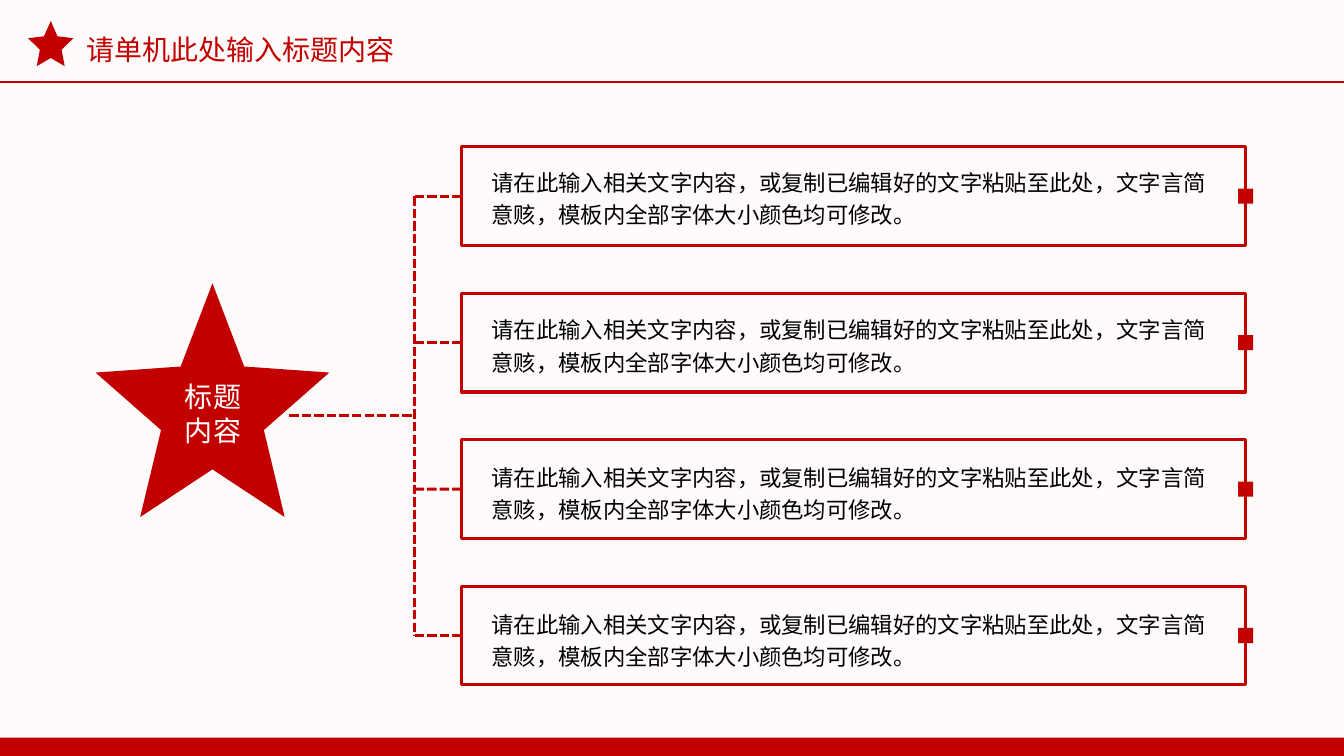
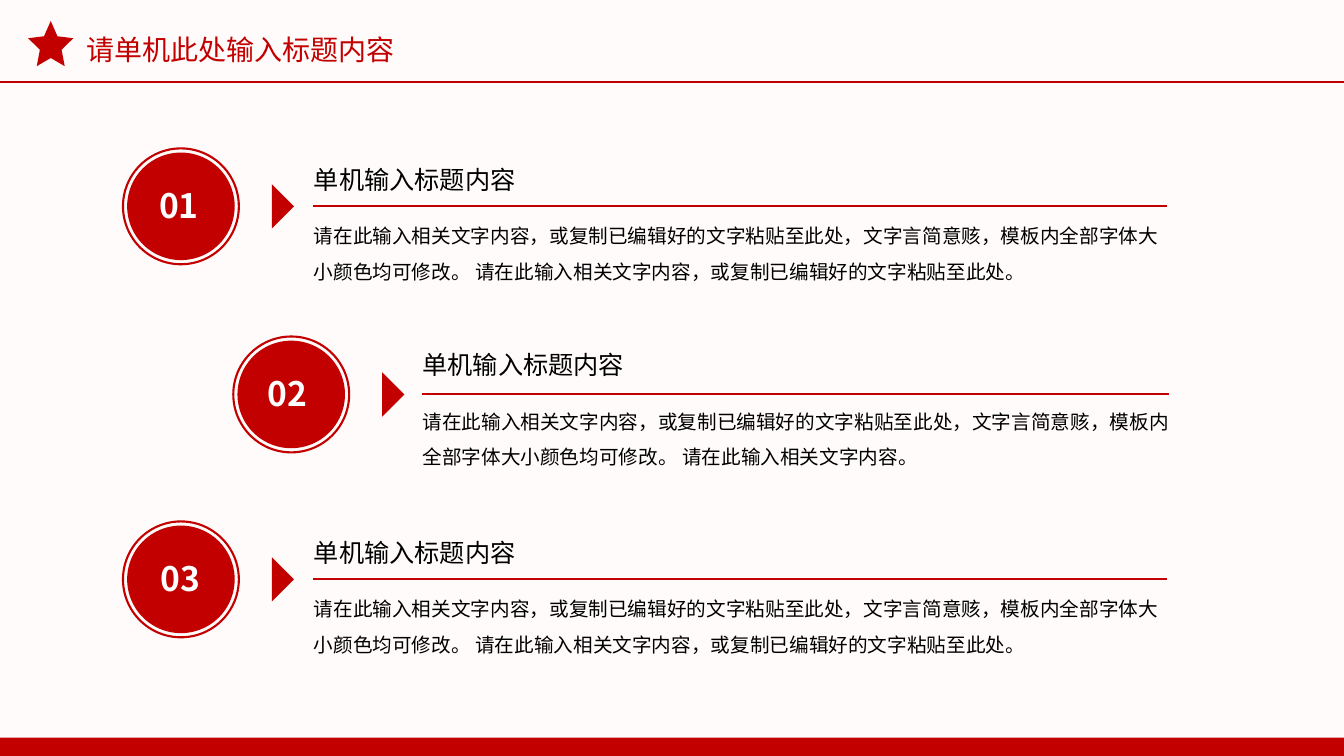
from dataclasses import dataclass

from lxml.etree import SubElement
from pptx import Presentation
from pptx.dml.color import RGBColor
from pptx.enum.dml import MSO_LINE
from pptx.enum.shapes import MSO_CONNECTOR, MSO_SHAPE
from pptx.enum.text import MSO_AUTO_SIZE, PP_ALIGN
from pptx.oxml.ns import qn
from pptx.shapes.autoshape import Shape
from pptx.shapes.connector import Connector
from pptx.slide import Slide
from pptx.util import Cm, Pt


@dataclass(frozen=True)
class Theme:
    red: RGBColor = RGBColor(0xC2, 0x00, 0x00)
    paper: RGBColor = RGBColor(0xFF, 0xFB, 0xFB)
    ink: RGBColor = RGBColor(0x00, 0x00, 0x00)
    white: RGBColor = RGBColor(0xFF, 0xFF, 0xFF)
    sans: str = "Noto Sans"
    chinese: str = "Noto Sans CJK SC"
    numeral: str = "Noto Sans CJK JP"
    title: float = 20
    heading: float = 18
    card: float = 16
    body: float = 14
    number: float = 24
    outline: float = 2.25
    header_rule: float = 1.75
    thin: float = 1.5


@dataclass(frozen=True)
class Step:
    number: str
    centre_x: float
    centre_y: float
    number_left: float
    rule_left: float
    rule_right: float
    heading_top: float
    body: str
    number_align: PP_ALIGN = PP_ALIGN.LEFT


THEME = Theme()
WIDTH, HEIGHT = 33.87, 19.05
TITLE = "请单机此处输入标题内容"
HEADING = "单机输入标题内容"
CARD_TEXT = "请在此输入相关文字内容，或复制已编辑好的文字粘贴至此处，文字言简意赅，模板内全部字体大小颜色均可修改。"
LONG_BODY = CARD_TEXT + " 请在此输入相关文字内容，或复制已编辑好的文字粘贴至此处。"
SHORT_BODY = CARD_TEXT + " 请在此输入相关文字内容。"

CARD_COUNT = 4
CARD_LEFT, CARD_TOP, CARD_WIDTH, CARD_HEIGHT = 11.63, 3.7, 19.76, 2.49
CARD_PITCH = 3.69
CARD_TEXT_TOP, CARD_TEXT_PITCH = 4.01, 3.71
TRUNK_X = 10.45
MARKER_SIZE = 0.38

RING_SIZE, DISC_SIZE, ARROW_SIZE = 2.92, 2.71, 0.79
ARROW_OFFSET = 2.29
STEPS = [
    Step("01", 4.56, 5.2, 3.76, 7.9, 29.41, 4.01, LONG_BODY),
    Step("02", 7.34, 9.94, 6.5, 10.64, 29.46, 8.69, SHORT_BODY),
    Step("03", 4.56, 14.6, 3.71, 7.9, 29.41, 13.41, LONG_BODY, PP_ALIGN.CENTER),
]


def add_figure(slide: Slide, kind: MSO_SHAPE, left: float, top: float,
               width: float, height: float, outline: float = 0) -> Shape:
    """Draw a red shape: outlined if a line width is given, else filled."""
    figure = slide.shapes.add_shape(kind, Cm(left), Cm(top), Cm(width), Cm(height))
    figure.shadow.inherit = False
    if outline:
        figure.fill.background()
        figure.line.color.rgb = THEME.red
        figure.line.width = Pt(outline)
    else:
        figure.fill.solid()
        figure.fill.fore_color.rgb = THEME.red
        figure.line.fill.background()
    return figure


def add_centred(slide: Slide, kind: MSO_SHAPE, x: float, y: float,
                size: float, outline: float = 0) -> Shape:
    return add_figure(slide, kind, x - size / 2, y - size / 2, size, size, outline)


def add_star(slide: Slide, left: float, top: float, size: float, depth: float) -> None:
    star = add_figure(slide, MSO_SHAPE.STAR_5_POINT, left, top, size, size)
    star.adjustments[0] = depth


def add_rule(slide: Slide, x1: float, y1: float, x2: float, y2: float,
             width: float, dashed: bool = False) -> Connector:
    rule = slide.shapes.add_connector(MSO_CONNECTOR.STRAIGHT, Cm(x1), Cm(y1), Cm(x2), Cm(y2))
    rule.line.color.rgb = THEME.red
    rule.line.width = Pt(width)
    if dashed:
        rule.line.dash_style = MSO_LINE.SQUARE_DOT
    SubElement(rule.element.spPr, qn("a:effectLst"))
    return rule


def add_text(slide: Slide, text: str, left: float, top: float, width: float, height: float, *,
             size: float, color: RGBColor = THEME.ink, font: str = THEME.chinese,
             bold: bool = False, align: PP_ALIGN = PP_ALIGN.LEFT,
             spacing: float | Pt | None = None, wrap: bool = True) -> None:
    """Add text; each line of the string becomes a paragraph."""
    frame = slide.shapes.add_textbox(Cm(left), Cm(top), Cm(width), Cm(height)).text_frame
    frame.word_wrap = wrap
    frame.auto_size = MSO_AUTO_SIZE.SHAPE_TO_FIT_TEXT
    frame.text = text
    for paragraph in frame.paragraphs:
        paragraph.alignment = align
        paragraph.line_spacing = spacing
        for run in paragraph.runs:
            run.font.size = Pt(size)
            run.font.bold = bold
            run.font.color.rgb = color
            run.font.name = font
            east_asian = THEME.chinese if font == THEME.sans else font
            SubElement(run.font._element, qn("a:ea"), typeface=east_asian)


def add_framed_slide(prs: Presentation, title_font: str) -> Slide:
    """Start a slide with the shared header and bottom band."""
    slide = prs.slides.add_slide(prs.slide_layouts[6])
    add_figure(slide, MSO_SHAPE.RECTANGLE, 0, 18.59, WIDTH, HEIGHT - 18.59)
    add_star(slide, 0.71, 0.53, 1.14, 0.24)
    add_text(slide, TITLE, 1.93, 0.69, 10.21, 1.12,
             size=THEME.title, color=THEME.red, font=title_font)
    add_rule(slide, 0, 2.06, WIDTH, 2.06, THEME.header_rule)
    return slide


def build_branch_slide(prs: Presentation) -> None:
    slide = add_framed_slide(prs, THEME.sans)

    # Trunk and stem
    first_y = CARD_TOP + CARD_HEIGHT / 2
    last_y = first_y + (CARD_COUNT - 1) * CARD_PITCH
    stem_y = (first_y + last_y) / 2
    add_rule(slide, TRUNK_X, first_y, TRUNK_X, last_y, THEME.outline, dashed=True)
    add_rule(slide, 7.29, stem_y, TRUNK_X, stem_y, THEME.outline, dashed=True)

    # Cards with their branches and markers
    for index in range(CARD_COUNT):
        middle = first_y + index * CARD_PITCH
        card = add_figure(slide, MSO_SHAPE.RECTANGLE, CARD_LEFT, middle - CARD_HEIGHT / 2,
                          CARD_WIDTH, CARD_HEIGHT, THEME.outline)
        branch = add_rule(slide, TRUNK_X, middle, CARD_LEFT, middle, THEME.outline, dashed=True)
        branch.end_connect(card, 1)
        add_text(slide, CARD_TEXT, 12.14, CARD_TEXT_TOP + index * CARD_TEXT_PITCH, 19.05, 1.83,
                 size=THEME.card, spacing=Pt(23))
        add_centred(slide, MSO_SHAPE.RECTANGLE, CARD_LEFT + CARD_WIDTH, middle, MARKER_SIZE)

    # Central star
    add_star(slide, 2.41, 7.14, 5.89, 0.22)
    add_text(slide, "标题\n内容", 4.01, 9.45, 2.72, 1.96, size=THEME.title,
             color=THEME.white, font=THEME.sans, align=PP_ALIGN.CENTER)


def add_step(slide: Slide, step: Step) -> None:
    # Numbered badge
    add_centred(slide, MSO_SHAPE.OVAL, step.centre_x, step.centre_y, RING_SIZE, THEME.thin)
    add_centred(slide, MSO_SHAPE.OVAL, step.centre_x, step.centre_y, DISC_SIZE)
    add_text(slide, step.number, step.number_left, step.centre_y - 0.67, 1.68, 1.27,
             size=THEME.number, color=THEME.white, font=THEME.numeral, bold=True,
             align=step.number_align, wrap=False)

    # Pointer and rule
    pointer = add_centred(slide, MSO_SHAPE.RIGHT_TRIANGLE,
                          step.centre_x + ARROW_OFFSET, step.centre_y, ARROW_SIZE)
    pointer.rotation = 225
    rule_y = step.centre_y - 0.02
    add_rule(slide, step.rule_left, rule_y, step.rule_right, rule_y, THEME.thin)

    # Heading and body
    text_left = step.rule_left - 0.24
    add_text(slide, HEADING, text_left, step.heading_top, 8.79, 1.02,
             size=THEME.heading, font=THEME.sans)
    add_text(slide, step.body, text_left, step.heading_top + 1.22, 29.9 - text_left, 1.96,
             size=THEME.body, spacing=1.5)


def build_steps_slide(prs: Presentation) -> None:
    slide = add_framed_slide(prs, THEME.chinese)
    for step in STEPS:
        add_step(slide, step)


def main() -> None:
    prs = Presentation()
    prs.slide_width, prs.slide_height = Cm(WIDTH), Cm(HEIGHT)
    background = prs.slide_master.background.fill
    background.solid()
    background.fore_color.rgb = THEME.paper
    build_branch_slide(prs)
    build_steps_slide(prs)
    prs.save("out.pptx")


if __name__ == "__main__":
    main()
